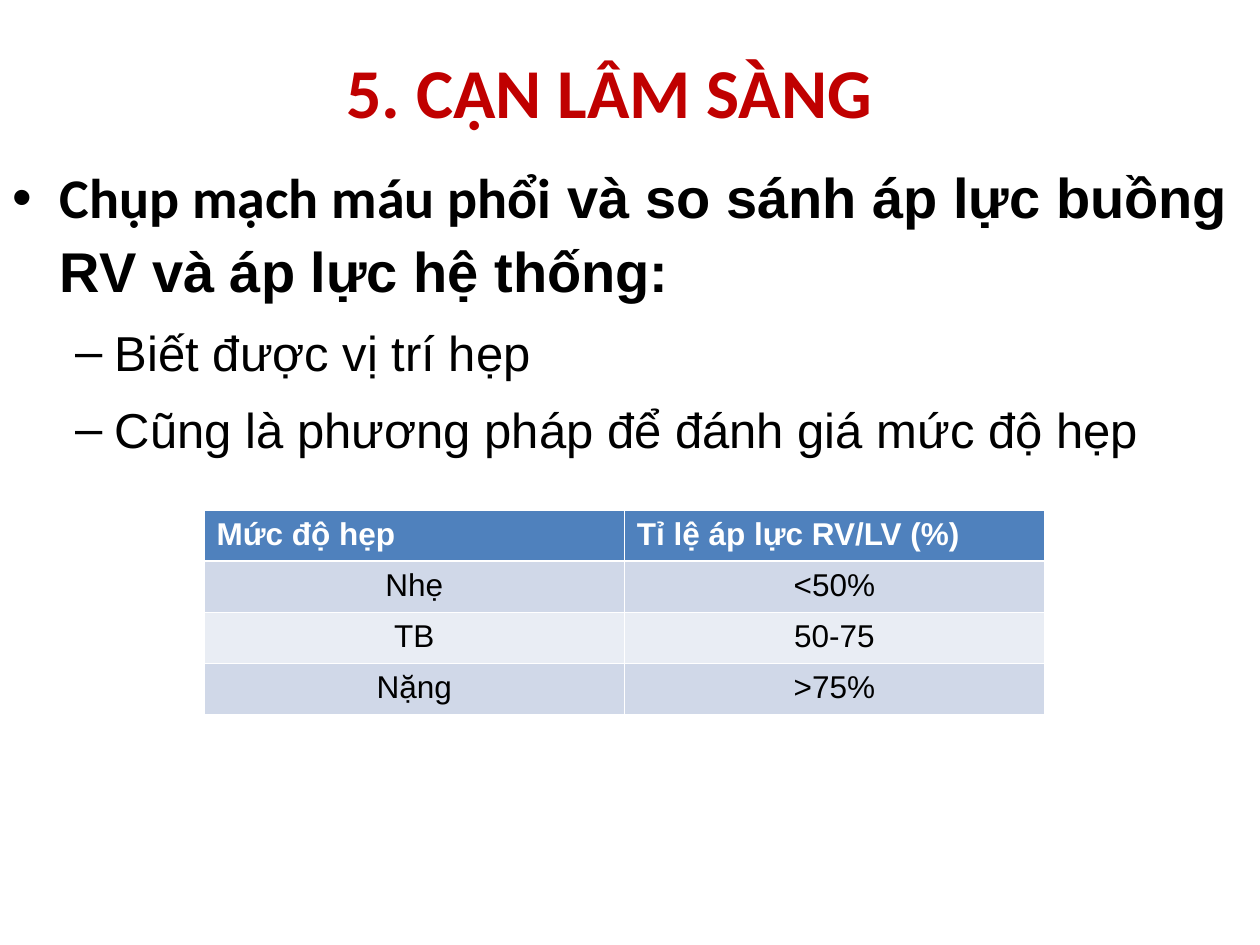
import lxml.etree
import pptx
import pptx.dml.color
import pptx.enum.text
import pptx.oxml.ns
import pptx.util

Inches = pptx.util.Inches
Pt = pptx.util.Pt
RGBColor = pptx.dml.color.RGBColor
CENTER = pptx.enum.text.PP_ALIGN.CENTER
qn = pptx.oxml.ns.qn

RED = RGBColor(0xC0, 0x00, 0x00)
BLACK = RGBColor(0x00, 0x00, 0x00)
WHITE = RGBColor(0xFF, 0xFF, 0xFF)
HEADER_BLUE = RGBColor(0x4F, 0x81, 0xBD)
BAND_DARK = RGBColor(0xD0, 0xD8, 0xE8)
BAND_LIGHT = RGBColor(0xE9, 0xED, 0xF4)


def add_run(paragraph, text, size, color, bold=False, font="Arial"):
    run = paragraph.add_run()
    run.text = text
    run.font.name = font
    run.font.size = Pt(size)
    run.font.bold = bold
    run.font.color.rgb = color


def add_border(cell, side, width):
    """Draw one white cell edge; side is L, R, T or B, in that order."""
    line = lxml.etree.SubElement(
        cell._tc.get_or_add_tcPr(), qn(f"a:ln{side}"), w=str(Pt(width)))
    fill = lxml.etree.SubElement(line, qn("a:solidFill"))
    lxml.etree.SubElement(fill, qn("a:srgbClr"), val=str(WHITE))


presentation = pptx.Presentation()
presentation.slide_width = Inches(10)
presentation.slide_height = Inches(7.5)
slide = presentation.slides.add_slide(presentation.slide_layouts[1])

# Title
title = slide.shapes.title
title.left, title.top = Inches(1.38), Inches(0.3)
title.width, title.height = Inches(6.91), Inches(0.84)
title.text_frame.auto_size = pptx.enum.text.MSO_AUTO_SIZE.NONE
title.text_frame.vertical_anchor = pptx.enum.text.MSO_ANCHOR.MIDDLE
paragraph = title.text_frame.paragraphs[0]
paragraph.alignment = CENTER
add_run(paragraph, "5. CẬN LÂM SÀNG", 40, RED, True, "Calibri")

# Bullet list
body = slide.placeholders[1]
body.left, body.top = Inches(0), Inches(1.19)
body.width, body.height = Inches(10), Inches(6.24)
body.text_frame.auto_size = pptx.enum.text.MSO_AUTO_SIZE.NONE
paragraph = body.text_frame.paragraphs[0]
paragraph.line_spacing = 1.1
paragraph.space_before = Pt(0)
add_run(paragraph, "Chụp mạch máu phổi", 32, BLACK, True, "Calibri")
add_run(paragraph, " và so sánh áp lực buồng RV và áp lực hệ thống:", 32, BLACK, True)
for text in ("Biết được vị trí hẹp", "Cũng là phương pháp để đánh giá mức độ hẹp"):
    paragraph = body.text_frame.add_paragraph()
    paragraph.level = 1
    paragraph.line_spacing = 1.1
    paragraph.space_before = Pt(7)
    add_run(paragraph, text, 28, BLACK)

# Severity table
severity_rows = [
    ("Mức độ hẹp", "Tỉ lệ áp lực RV/LV (%)"),
    ("Nhẹ", "<50%"),
    ("TB", "50-75"),
    ("Nặng", ">75%"),
]
table = slide.shapes.add_table(
    len(severity_rows), 2, Inches(1.62), Inches(4.05), Inches(6.67), Inches(1.62)).table
table.first_row = False
table.horz_banding = False
for row_index, row in enumerate(severity_rows):
    is_header = row_index == 0
    for column_index, text in enumerate(row):
        cell = table.cell(row_index, column_index)
        add_border(cell, "L", 0.45)
        add_border(cell, "R", 0.45)
        add_border(cell, "T", 1.47 if row_index == 1 else 0.45)
        add_border(cell, "B", 1.47 if is_header else 0.45)
        cell.fill.solid()
        if is_header:
            cell.fill.fore_color.rgb = HEADER_BLUE
        else:
            cell.fill.fore_color.rgb = BAND_DARK if row_index % 2 else BAND_LIGHT
        paragraph = cell.text_frame.paragraphs[0]
        if not is_header:
            paragraph.alignment = CENTER
        add_run(paragraph, text, 18, WHITE if is_header else BLACK, is_header)

presentation.save("out.pptx")
